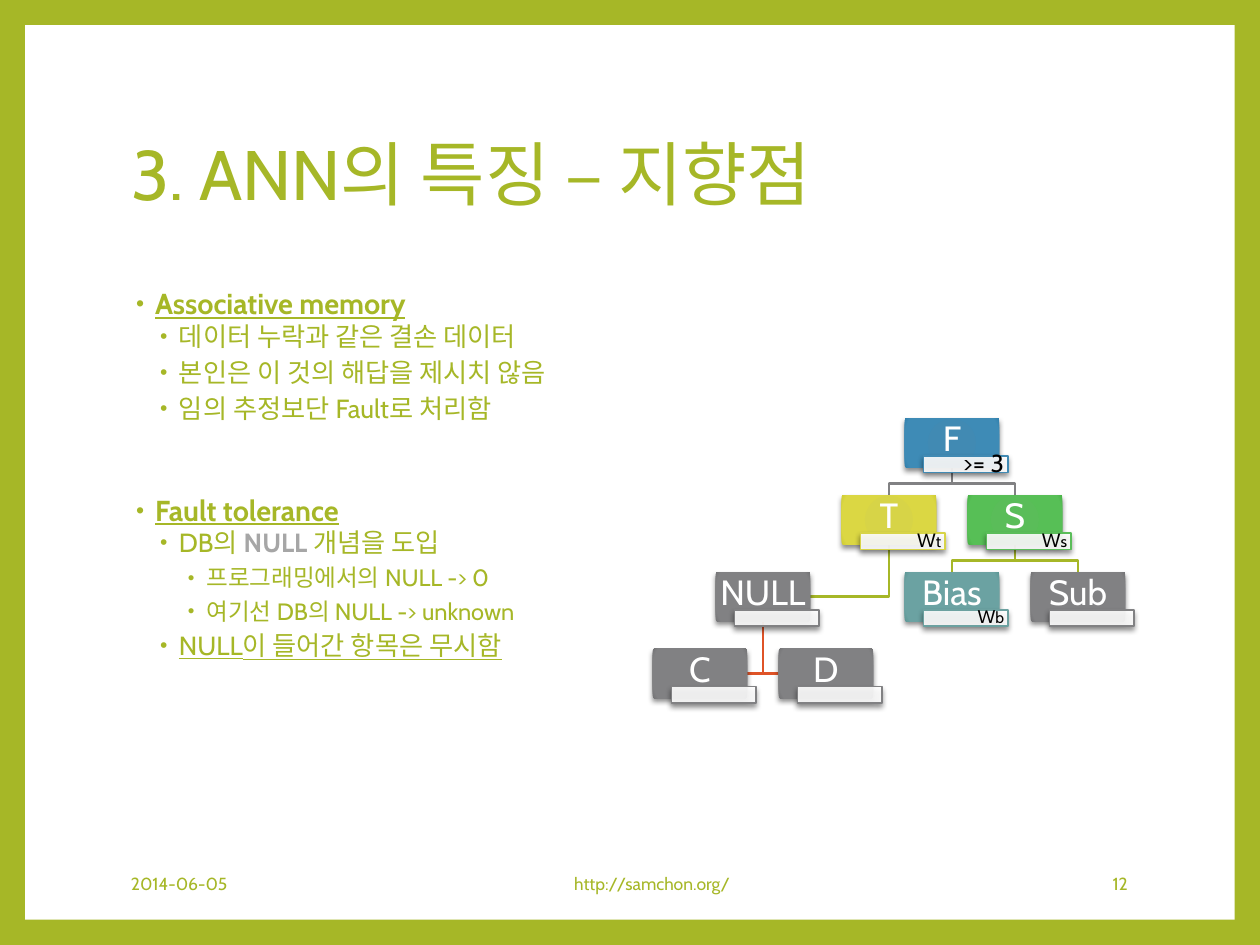
from lxml import etree
from pptx import Presentation
from pptx import util as u
from pptx.dml.color import RGBColor
from pptx.enum import shapes, text
from pptx.oxml import parse_xml
from pptx.oxml.ns import nsdecls, qn

LIME, GRAY, ORANGE = "A6B727", "818183", "DF5327"
FONT = "Cabin"
NODE_W, NODE_H = 0.75, 0.39
GRAY_SHADES = (GRAY, GRAY, "757577")
LEVELS = [(0.19, 16.5), (0.38, 15), (0.6, 13.5)]

POINTS = [
    (0, 0, 0, [("Associative memory", LIME, True, True)]),
    (1, 1.5, 3, [("데이터 누락과 같은 결손 데이터", LIME, False, False)]),
    (1, 1.5, 3, [("본인은 이 것의 해답을 제시치 않음", LIME, False, False)]),
    (1, 1.5, 3, [("임의 추정보단 Fault로 처리함", LIME, False, False)]),
    (0, 38, 0, [("Fault tolerance", LIME, True, True)]),
    (1, 1.5, 3, [("DB의 ", LIME, False, False),
                 ("NULL ", "A6A6A6", True, False),
                 ("개념을 도입", LIME, False, False)]),
    (2, 1.5, 3, [("프로그래밍에서의 NULL -> 0", LIME, False, False)]),
    (2, 1.5, 3, [("여기선 DB의 NULL -> unknown", LIME, False, False)]),
    (1, 1.5, 3, [("NULL이 들어간 항목은 무시함", LIME, False, True)]),
]

NODES = {
    "F": (4, 0, ("418AB3", "3E8BB6", "3180AD"), [(">= 3", 14)]),
    "T": (3, 1, ("D7D447", "DBD743", "D0CD33"), [("W", 11), ("t", 9)]),
    "NULL": (1, 2, GRAY_SHADES, []),
    "C": (0, 3, GRAY_SHADES, []),
    "D": (2, 3, GRAY_SHADES, []),
    "S": (5, 1, ("5ABD59", "57BF56", "49B447"), [("W", 11), ("s", 9)]),
    "Bias": (4, 2, ("6CA1A0", "6BA2A2", "5D9796"), [("W", 10.5), ("b", 9)]),
    "Sub": (6, 2, GRAY_SHADES, []),
}

BRANCHES = [
    ("S", "Sub", LIME, "top"), ("S", "Bias", LIME, "top"),
    ("F", "S", GRAY, "top"), ("NULL", "D", ORANGE, "left"),
    ("NULL", "C", ORANGE, "right"), ("T", "NULL", LIME, "right"),
    ("F", "T", GRAY, "top"),
]


def rgb(value):
    """Turn a hex string into a colour."""
    return RGBColor.from_string(value)


def inches(*lengths):
    """Convert several lengths to Inches."""
    return [u.Inches(length) for length in lengths]


def place(item, box):
    """Move a shape into a left, top, width, height box."""
    item.left, item.top, item.width, item.height = inches(*box)


def add_run(paragraph, words, size, color, bold=None, underline=None):
    """Append one formatted run to a paragraph."""
    run = paragraph.add_run()
    run.text = words
    font = run.font
    font.name, font.size, font.bold, font.underline = FONT, u.Pt(size), bold, underline
    font.color.rgb = rgb(color)


def add_bullet(paragraph, indent):
    """Give a paragraph a round bullet with a hanging indent."""
    props = paragraph._p.get_or_add_pPr()
    props.set("marL", str(u.Inches(indent)))
    props.set("indent", str(u.Inches(-0.15)))
    color = etree.SubElement(props, qn("a:buClr"))
    etree.SubElement(color, qn("a:srgbClr"), val=LIME)
    etree.SubElement(props, qn("a:buSzPct"), val="80000")
    etree.SubElement(props, qn("a:buFont"), typeface="Arial")
    etree.SubElement(props, qn("a:buChar"), char="•")


def frame(slide, box):
    """Lay the white page over the lime background, behind everything else."""
    slide.background.fill.solid()
    slide.background.fill.fore_color.rgb = rgb(LIME)
    page = slide.shapes.add_shape(shapes.MSO_SHAPE.RECTANGLE, *inches(*box))
    page.shadow.inherit = False
    page.fill.solid()
    page.fill.fore_color.rgb = rgb("FFFFFF")
    page.line.fill.background()
    page._element.getparent().insert(2, page._element)


def heading(slide, box):
    """Fill the title placeholder."""
    title = slide.shapes.title
    place(title, box)
    title.text_frame.vertical_anchor = text.MSO_ANCHOR.MIDDLE
    title.text_frame.auto_size = text.MSO_AUTO_SIZE.NONE
    paragraph = title.text_frame.paragraphs[0]
    paragraph.alignment = text.PP_ALIGN.LEFT
    paragraph.line_spacing = 0.9
    add_run(paragraph, "3. ANN의 특징 – 지향점", 40, LIME)


def feature_list(slide, box):
    """Fill the body placeholder with the bulleted features."""
    body = slide.placeholders[1]
    place(body, box)
    frame_text = body.text_frame
    frame_text.auto_size = text.MSO_AUTO_SIZE.NONE
    for number, (level, before, after, runs) in enumerate(POINTS):
        paragraph = frame_text.add_paragraph() if number else frame_text.paragraphs[0]
        indent, size = LEVELS[level]
        paragraph.level = level
        add_bullet(paragraph, indent)
        paragraph.line_spacing = 0.9
        paragraph.space_before, paragraph.space_after = u.Pt(before), u.Pt(after)
        for words, color, bold, underline in runs:
            add_run(paragraph, words, size, color, bold, underline)


def shaded_rect(slide, box, insets, align, runs, color):
    """Add a rectangle with a soft shadow and one line of text."""
    rect = slide.shapes.add_shape(shapes.MSO_SHAPE.RECTANGLE, *inches(*box))
    rect.shadow.inherit = False
    effects = rect._element.spPr.find(qn("a:effectLst"))
    effects.append(parse_xml(
        f'<a:outerShdw {nsdecls("a")} blurRad="{u.Pt(3)}" dist="{u.Pt(2)}" dir="5400000" '
        'rotWithShape="0"><a:srgbClr val="000000"><a:alpha val="45000"/></a:srgbClr>'
        '</a:outerShdw>'))
    words = rect.text_frame
    words.margin_left, words.margin_top, words.margin_right, words.margin_bottom = inches(*insets)
    words.vertical_anchor = text.MSO_ANCHOR.MIDDLE
    words.word_wrap = True
    paragraph = words.paragraphs[0]
    paragraph.alignment = align
    paragraph.line_spacing = 0.9
    for label, size in runs:
        add_run(paragraph, label, size, color)
    return rect


def node(slide, left, top, name, shades, weight):
    """Draw one neuron with its weight plate."""
    card = shaded_rect(slide, (left, top, NODE_W, NODE_H), (0.01, 0.01, 0.01, 0.05),
                       text.PP_ALIGN.CENTER, [(name, 20)], "FFFFFF")
    card.line.fill.background()
    card.fill.gradient()
    stops = "".join(f'<a:gs pos="{pos}"><a:srgbClr val="{shade}"/></a:gs>'
                    for pos, shade in zip((0, 90000, 100000), shades))
    gradient = card._element.spPr.find(qn("a:gradFill"))
    gradient.getparent().replace(gradient, parse_xml(
        f'<a:gradFill {nsdecls("a")} rotWithShape="1"><a:gsLst>{stops}</a:gsLst>'
        '<a:path path="circle"><a:fillToRect l="100000" t="100000" r="100000" b="100000"/>'
        '</a:path></a:gradFill>'))

    plate = shaded_rect(slide, (left + 0.15, top + 0.3, 0.67, 0.13), (0.03, 0.01, 0.03, 0.01),
                        text.PP_ALIGN.RIGHT, weight, "000000")
    plate.fill.solid()
    plate.fill.fore_color.rgb = rgb("FFFFFF")
    white = plate._element.spPr.find(qn("a:solidFill"))[0]
    etree.SubElement(white, qn("a:alpha"), val="90000")
    plate.line.color.rgb = rgb(shades[0])
    plate.line.width = u.Pt(0.79)


def branch(slide, parent, child, color, side):
    """Draw the bent line from a parent's foot to one side of its child."""
    x, y = parent[0] + NODE_W / 2, parent[1] + NODE_H
    left, top = child
    if side == "top":
        center = left + NODE_W / 2
        bends = [(x, y + 0.13), (center, y + 0.13), (center, top)]
    else:
        middle = top + NODE_H / 2
        bends = [(x, middle), (left + (NODE_W if side == "right" else 0), middle)]
    builder = slide.shapes.build_freeform(*inches(x, y))
    builder.add_line_segments([inches(*bend) for bend in bends], close=False)
    line = builder.convert_to_shape()
    line.shadow.inherit = False
    line.fill.background()
    line.line.color.rgb = rgb(color)
    line.line.width = u.Pt(1.5)


def network(slide, left, top):
    """Draw the tree of neurons on a half-inch column grid."""
    spots = {name: (left + 0.5 * column, top + 0.61 * row)
             for name, (column, row, _, _) in NODES.items()}
    for parent, child, color, side in BRANCHES:
        branch(slide, spots[parent], spots[child], color, side)
    for name, (_, _, shades, weight) in NODES.items():
        node(slide, *spots[name], name, shades, weight)


def footer(slide, top, height):
    """Write the date, address and page number along the bottom."""
    align = text.PP_ALIGN
    for left, width, side, words in [(0.94, 1.91, align.LEFT, "2014-06-05"),
                                     (3.24, 3.87, align.CENTER, "http://samchon.org/"),
                                     (7.65, 1.4, align.RIGHT, "12")]:
        note = slide.shapes.add_textbox(*inches(left, top, width, height)).text_frame
        note.word_wrap = True
        note.vertical_anchor = text.MSO_ANCHOR.MIDDLE
        note.paragraphs[0].alignment = side
        add_run(note.paragraphs[0], words, 10, LIME)


def main():
    """Build and save the slide."""
    deck = Presentation()
    deck.slide_width, deck.slide_height = inches(10, 7.5)
    slide = deck.slides.add_slide(deck.slide_layouts[1])
    frame(slide, (0.2, 0.2, 9.6, 7.1))
    heading(slide, (0.94, 0.67, 8.1, 1.48))
    feature_list(slide, (0.94, 2.25, 3.9, 4.4))
    network(slide, 5.18, 3.32)
    footer(slide, 6.81, 0.4)
    deck.save("out.pptx")


if __name__ == "__main__":
    main()
